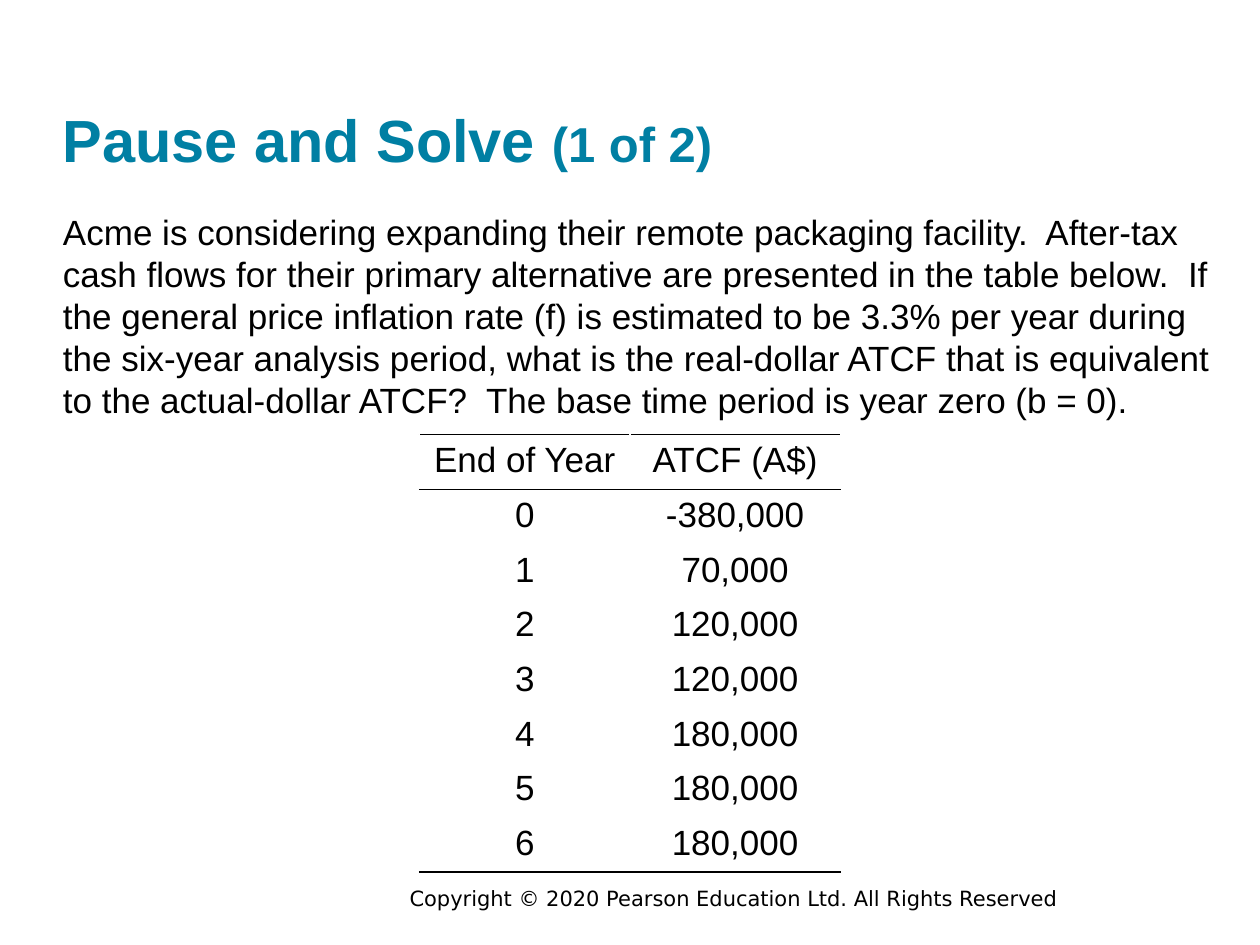
"""Build the inflation practice slide with its after-tax cash flow table."""
from lxml import etree
from pptx import Presentation
from pptx import util as u
from pptx.dml.color import RGBColor
from pptx.enum import text
from pptx.oxml.ns import qn

TEAL = RGBColor(0x00, 0x7F, 0xA3)
BLACK = RGBColor(0x00, 0x00, 0x00)
WHITE = RGBColor(0xFF, 0xFF, 0xFF)

BODY = {"name": "Arial", "size": u.Pt(20), "bold": False}
TITLE = {"name": "Arial", "size": u.Pt(34), "bold": True}
TITLE_COUNT = {**TITLE, "size": u.Pt(28)}
FOOTER = {"name": "DejaVu Sans", "size": u.Pt(12), "bold": False}

QUESTION = (
    "Acme is considering expanding their remote packaging facility.  After-tax "
    "cash flows for their primary alternative are presented in the table below.  "
    "If the general price inflation rate (f) is estimated to be 3.3% per year "
    "during the six-year analysis period, what is the real-dollar ATCF that is "
    "equivalent to the actual-dollar ATCF?  The base time period is year zero (b = 0)."
)
HEADER = ("End of Year", "ATCF (A$)")
CASH_FLOWS = (-380000, 70000, 120000, 120000, 180000, 180000, 180000)


def add_run(paragraph, wording, font_format, color):
    run = paragraph.add_run()
    run.text = wording
    for name, value in font_format.items():
        setattr(run.font, name, value)
    run.font.color.rgb = color


def add_text(slide, box, runs, color):
    shape = slide.shapes.add_textbox(*map(u.Inches, box))
    frame = shape.text_frame
    frame_format = {"word_wrap": True, "margin_left": 0, "margin_top": 0,
                    "margin_right": 0, "margin_bottom": 0}
    for name, value in frame_format.items():
        setattr(frame, name, value)
    for wording, font_format in runs:
        add_run(frame.paragraphs[0], wording, font_format, color)


def add_borders(cell, top, bottom):
    properties = cell._tc.get_or_add_tcPr()
    for side, color in (("L", WHITE), ("R", WHITE), ("T", top), ("B", bottom)):
        line = etree.SubElement(properties, qn(f"a:ln{side}"), w=str(u.Pt(1)))
        fill = etree.SubElement(line, qn("a:solidFill"))
        etree.SubElement(fill, qn("a:srgbClr"), val=str(color))


def add_cash_flow_table(slide, left, top, column_width, row_height):
    rows = [HEADER] + [(str(year), f"{flow:,}") for year, flow in enumerate(CASH_FLOWS)]
    last = len(rows) - 1
    table = slide.shapes.add_table(
        len(rows), len(HEADER), u.Inches(left), u.Inches(top),
        u.Inches(column_width * len(HEADER)), u.Inches(row_height * len(rows))).table
    table.first_row = table.horz_banding = False
    for row_index, row in enumerate(rows):
        for column_index, wording in enumerate(row):
            cell = table.cell(row_index, column_index)
            add_borders(cell, BLACK if row_index <= 1 else WHITE,
                        BLACK if row_index in (0, last) else WHITE)
            cell.fill.background()
            paragraph = cell.text_frame.paragraphs[0]
            paragraph.alignment = text.PP_ALIGN.CENTER
            add_run(paragraph, wording, BODY, BLACK)


def main():
    presentation = Presentation()
    presentation.slide_width = u.Inches(10)
    presentation.slide_height = u.Inches(7.5)
    slide = presentation.slides.add_slide(presentation.slide_layouts[6])
    add_text(slide, (3.25, 7.03, 6.58, 0.2),
             [("Copyright © 2020 Pearson Education Ltd. All Rights Reserved", FOOTER)], BLACK)
    add_text(slide, (0.5, 0.82, 9, 0.57),
             [("Pause and Solve ", TITLE), ("(1 of 2)", TITLE_COUNT)], TEAL)
    add_text(slide, (0.5, 1.67, 9.33, 1.68), [(QUESTION, BODY)], BLACK)
    add_cash_flow_table(slide, 3.33, 3.45, 1.67, 0.43)
    presentation.save("out.pptx")


if __name__ == "__main__":
    main()
